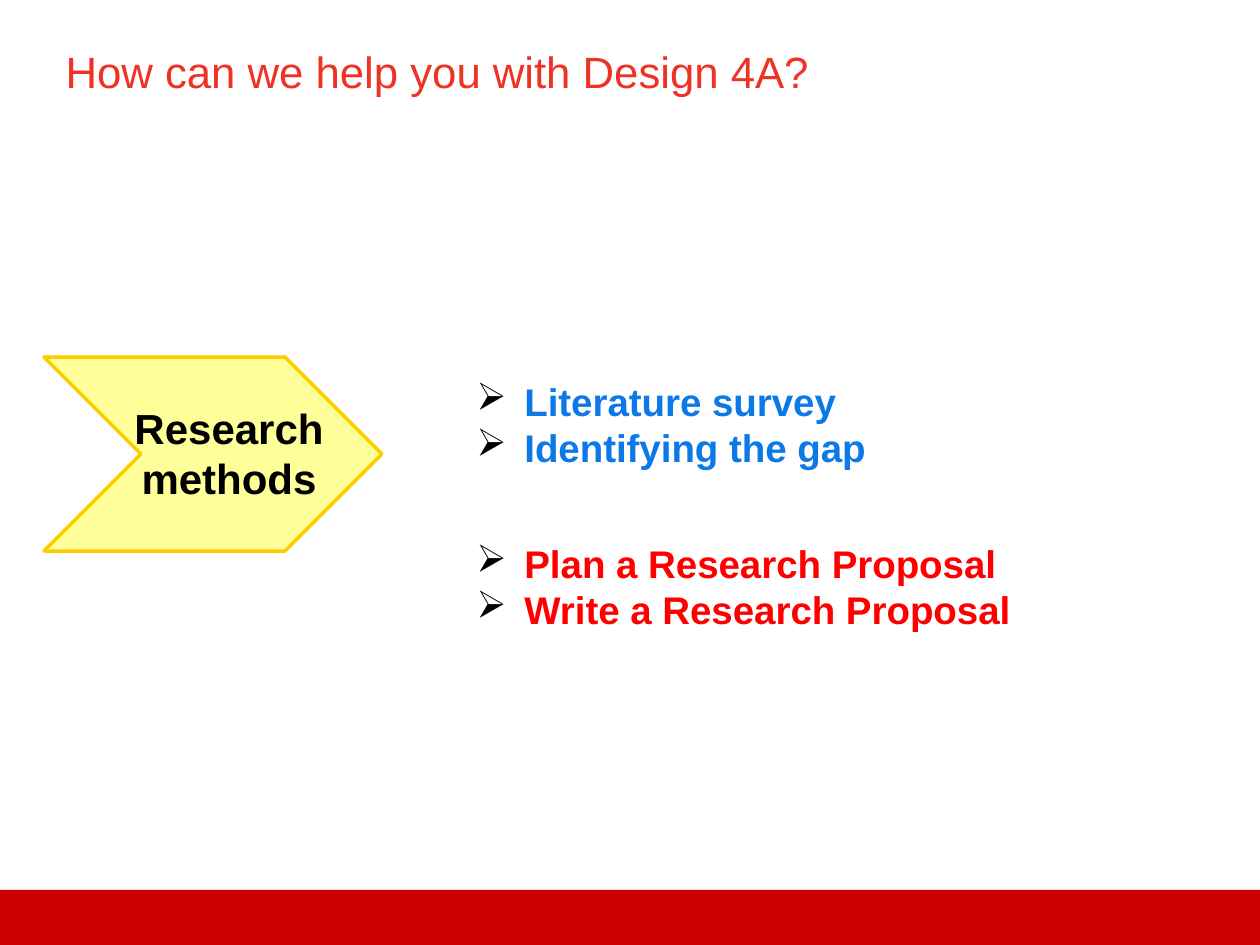
import pptx
import pptx.util
import pptx.dml.color
import pptx.enum.shapes
import pptx.enum.text
import lxml.etree
import pptx.oxml.ns

SCALE = 914400 // 126  # EMU in one px
FONT = "Arial"
HUES = {
    "title": "EE3224", "blue": "0B79E8", "red": "FF0000", "black": "000000",
    "pale": "FFFF99", "gold": "FFCC00", "band": "CC0000",
}
KINDS = pptx.enum.shapes.MSO_SHAPE
ALIGN = pptx.enum.text.PP_ALIGN


def px(num):
    return pptx.util.Emu(num * SCALE)


def hue(name):
    return pptx.dml.color.RGBColor.from_string(HUES[name])


def style(para, size, tone, bold=False, align=ALIGN.LEFT):
    para.alignment = align
    font = para.font
    font.name, font.size, font.bold = FONT, pptx.util.Pt(size), bold
    font.color.rgb = hue(tone)


def bullet(para):
    """Give a paragraph a black arrow bullet with a hanging indent."""
    props = para._p.get_or_add_pPr()
    props.set("marL", str(px(48)))
    props.set("indent", str(-px(48)))
    tint = lxml.etree.Element(pptx.oxml.ns.qn("a:buClr"))
    lxml.etree.SubElement(tint, pptx.oxml.ns.qn("a:srgbClr"), val=HUES["black"])
    sign = lxml.etree.Element(pptx.oxml.ns.qn("a:buChar"), char="➢")
    # Bullet settings stand before the default run settings
    for place, item in enumerate((tint, sign)):
        props.insert(place, item)


def add_text(slide, box, lines, size, tone, align=ALIGN.LEFT, marks=False):
    frame = slide.shapes.add_textbox(*map(px, box)).text_frame
    frame.word_wrap = True
    frame.text = "\n".join(lines)
    for para in frame.paragraphs:
        style(para, size, tone, True, align)
        if marks:
            bullet(para)


def add_shape(slide, kind, box, fill, line=None):
    shape = slide.shapes.add_shape(kind, *map(px, box))
    shape.shadow.inherit = False
    shape.fill.solid()
    shape.fill.fore_color.rgb = hue(fill)
    if line:
        shape.line.color.rgb = hue(line)
        shape.line.width = pptx.util.Pt(2)
    else:
        shape.line.fill.background()


def set_title(slide, box, text):
    title = slide.shapes.title
    title.left, title.top, title.width, title.height = map(px, box)
    frame = title.text_frame
    frame.text = text
    frame.word_wrap = True
    frame.vertical_anchor = pptx.enum.text.MSO_ANCHOR.TOP
    style(frame.paragraphs[0], 25, "title")


def main():
    deck = pptx.Presentation()
    deck.slide_width, deck.slide_height = px(1260), px(945)
    slide = deck.slides.add_slide(deck.slide_layouts[5])

    # Lists of topics
    add_text(slide, (464, 372, 480, 106),
             ["Literature survey", "Identifying the gap"], 22, "blue", marks=True)
    add_text(slide, (464, 534, 597, 106),
             ["Plan a Research Proposal", "Write a Research Proposal"],
             22, "red", marks=True)

    # Chevron with its label
    add_shape(slide, KINDS.CHEVRON, (44, 357, 338, 194), "pale", "gold")
    add_text(slide, (117, 396, 224, 115), ["Research methods"],
             24, "black", ALIGN.CENTER)

    # Title and bottom band
    set_title(slide, (53, 38, 1134, 127), "How can we help you with Design 4A?")
    add_shape(slide, KINDS.RECTANGLE, (0, 890, 1260, 55), "band")

    deck.save("out.pptx")


if __name__ == "__main__":
    main()
